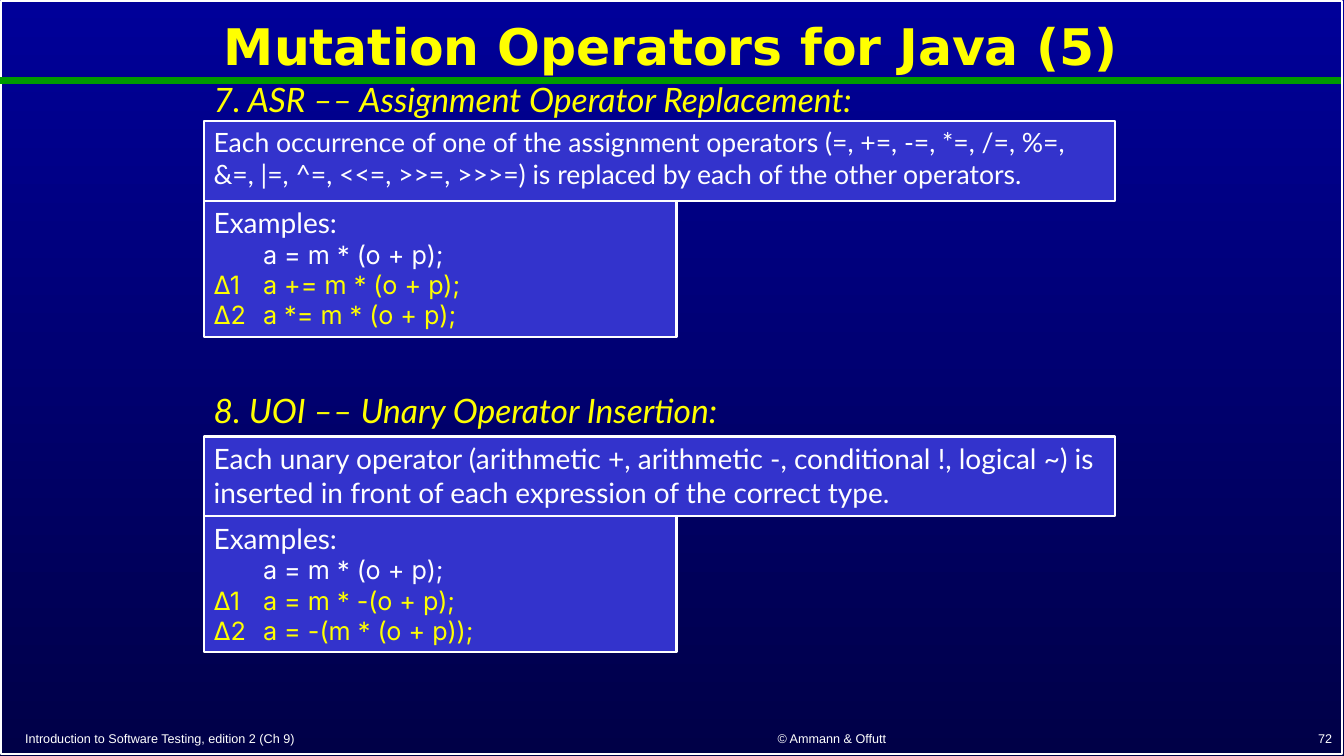
from pptx import Presentation
from pptx.dml import color
from pptx.enum import shapes, text
from pptx.oxml import parse_xml
from pptx.oxml import ns
from pptx.util import Inches, Pt

WHITE, YELLOW, GOLD = "FFFFFF", "FFFF00", "FAFD00"
BLUE, GREEN = "3333CC", "009900"
LEFT, CENTER, RIGHT = (text.PP_ALIGN.LEFT, text.PP_ALIGN.CENTER,
                       text.PP_ALIGN.RIGHT)

TITLE = "Mutation Operators for Java (5)"
RULES = [
    {"head": ("7. ASR ", "––", " Assignment Operator Replacement:"),
     "top": 0.73, "box": 1.2, "size": 19,
     "rule": "Each occurrence of one of the assignment operators "
             "(=, +=, -=, *=, /=, %=, &=, |=, ^=, <<=, >>=, >>>=) "
             "is replaced by each of the other operators.",
     "code": ("a = m * (o + p);", "a += m * (o + p);", "a *= m * (o + p);")},
    {"head": ("8. UOI ", "–– ", "Unary Operator Insertion:"),
     "top": 3.82, "box": 4.33, "size": 20,
     "rule": "Each unary operator (arithmetic +, arithmetic -, "
             "conditional !, logical ~) is inserted in front of each "
             "expression of the correct type.",
     "code": ("a = m * (o + p);", "a = m * -(o + p);", "a = -(m * (o + p));")},
]
FOOT = [
    ("Introduction to Software Testing, edition 2 (Ch 9)", 0.15, 5.69, LEFT),
    ("© Ammann & Offutt", 6.14, 4.22, CENTER),
    ("72", 10.53, 2.78, RIGHT),
]
EDGE, RULE_H, CODE_H, TAB = 2.02, 0.79, 1.35, 0.49


def rgb(tone):
    """Turn a hex string into a colour."""
    return color.RGBColor.from_string(tone)


def write(para, words, tone, **form):
    """Add a run with the given font values."""
    run = para.add_run()
    run.text = words
    run.font.color.rgb = rgb(tone)
    for key, val in form.items():
        setattr(run.font, key, val)


def setup(frame, anchor=text.MSO_ANCHOR.TOP):
    """Give a text frame its margins and wrap; return its first paragraph."""
    form = {"word_wrap": True, "auto_size": text.MSO_AUTO_SIZE.NONE,
            "vertical_anchor": anchor,
            "margin_left": Inches(0.1), "margin_right": Inches(0.1),
            "margin_top": Inches(0.05), "margin_bottom": Inches(0.05)}
    for key, val in form.items():
        setattr(frame, key, val)
    frame.paragraphs[0].alignment = LEFT
    return frame.paragraphs[0]


def panel(left, top, wide, high, fill=None, width=1.5):
    """Draw a white-edged rectangle, filled or clear."""
    box = slide.shapes.add_shape(shapes.MSO_SHAPE.RECTANGLE, Inches(left),
                                 Inches(top), Inches(wide), Inches(high))
    box.shadow.inherit = False
    if fill:
        box.fill.solid()
        box.fill.fore_color.rgb = rgb(fill)
    else:
        box.fill.background()
    box.line.color.rgb = rgb(WHITE)
    box.line.width = Pt(width)
    return box.text_frame


def label(left, top, wide, high, anchor=text.MSO_ANCHOR.TOP):
    """Add a text box and return its first paragraph."""
    box = slide.shapes.add_textbox(Inches(left), Inches(top),
                                   Inches(wide), Inches(high))
    return setup(box.text_frame, anchor)


def tabbed(frame):
    """Add a left-aligned paragraph with one tab stop."""
    para = frame.add_paragraph()
    para.alignment = LEFT
    para._p.get_or_add_pPr().append(parse_xml(
        f'<a:tabLst {ns.nsdecls("a")}>'
        f'<a:tab pos="{Inches(TAB)}" algn="l"/></a:tabLst>'))
    return para


def section(item):
    """Draw one operator: its rule, heading and examples."""
    para = setup(panel(EDGE, item["box"], 9.04, RULE_H, BLUE))
    write(para, item["rule"], WHITE, size=Pt(item["size"]), name="Lato")

    para = label(EDGE, item["top"], 9.04, 0.59)
    for words, tone in zip(item["head"], (YELLOW, GOLD, YELLOW)):
        write(para, words, tone, size=Pt(24), name="Lato", italic=True)

    frame = panel(EDGE, item["box"] + RULE_H, 4.69, CODE_H, BLUE)
    write(setup(frame), "Examples:", WHITE, size=Pt(20), name="Lato")
    for num, code in enumerate(item["code"]):
        mark, tone = (f"∆{num}", YELLOW) if num else ("", WHITE)
        write(tabbed(frame), f"{mark}\t{code}", tone,
              size=Pt(18), name="Inter")


deck = Presentation()
deck.slide_width, deck.slide_height = Inches(13.33), Inches(7.5)
slide = deck.slides.add_slide(deck.slide_layouts[5])

back = slide.background.fill
back.gradient()
back.gradient_angle = 270
for stop, tone in zip(back.gradient_stops, ("000099", "000047")):
    stop.color.rgb = rgb(tone)

panel(0.01, 0.01, 13.3, 7.47, width=1)
bar = slide.shapes.add_connector(shapes.MSO_CONNECTOR.STRAIGHT, 0,
                                 Inches(0.8), Inches(13.3), Inches(0.8))
bar.line.color.rgb = rgb(GREEN)
bar.line.width = Pt(4.5)
bar._element.spPr.append(parse_xml(f'<a:effectLst {ns.nsdecls("a")}/>'))

for words, left, wide, align in FOOT:
    para = label(left, 7.19, wide, 0.26, text.MSO_ANCHOR.BOTTOM)
    para.alignment = align
    write(para, words, WHITE, size=Pt(9), name="Arial")

title = slide.shapes.title
place = {"left": 0.13, "top": 0.05, "width": 13.05, "height": 0.88}
for key, val in place.items():
    setattr(title, key, Inches(val))
para = setup(title.text_frame, text.MSO_ANCHOR.MIDDLE)
para.alignment, para.line_spacing = CENTER, 0.9
write(para, TITLE, YELLOW, size=Pt(36), name="DejaVu Sans", bold=True)

for item in RULES:
    section(item)

deck.save("out.pptx")
